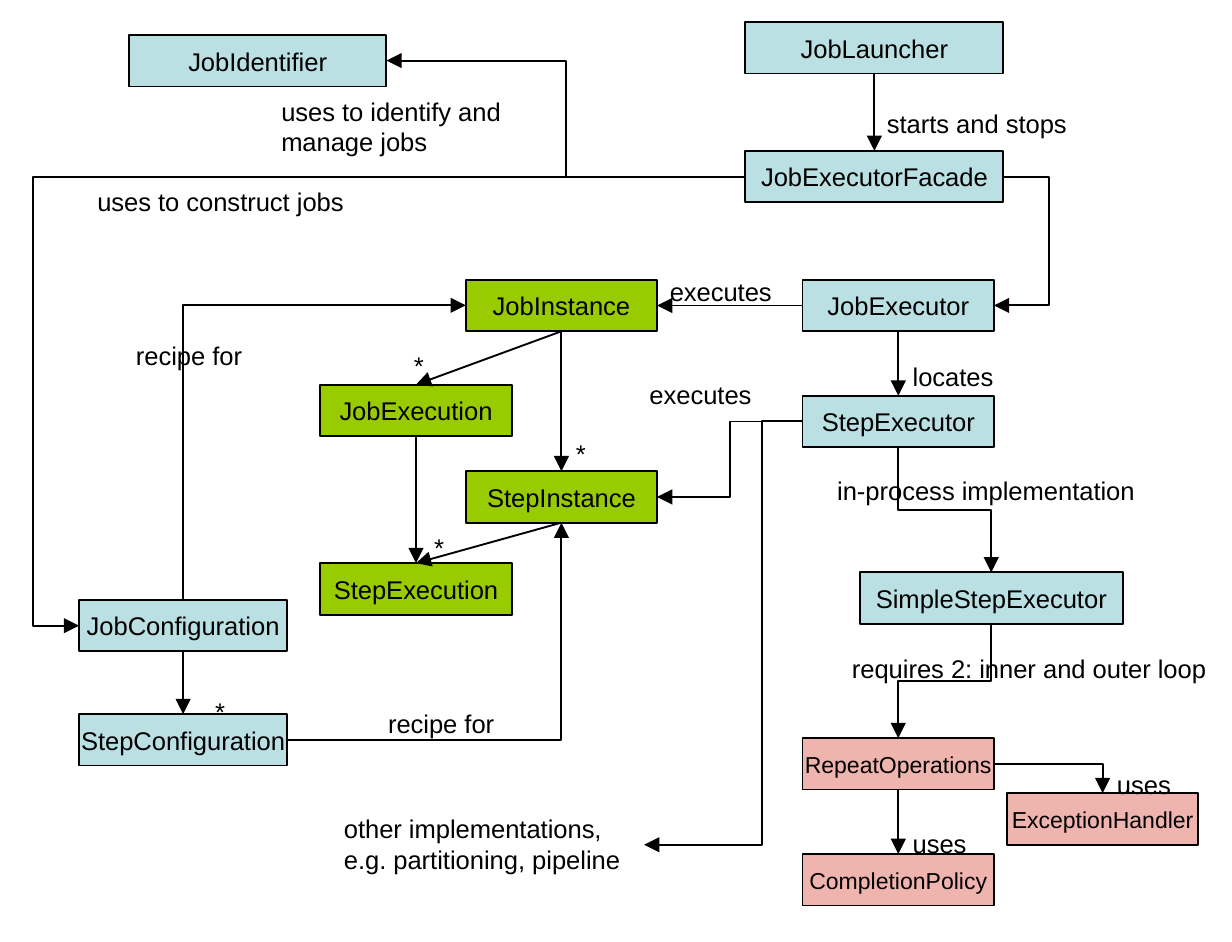
from lxml import etree
from pptx import Presentation
from pptx.dml.color import RGBColor
from pptx.enum.shapes import MSO_CONNECTOR, MSO_SHAPE
from pptx.enum.text import MSO_ANCHOR, MSO_AUTO_SIZE, PP_ALIGN
from pptx.oxml.ns import qn
from pptx.util import Cm, Inches, Pt

RECTANGLE = MSO_SHAPE.RECTANGLE
STRAIGHT, ELBOW = MSO_CONNECTOR.STRAIGHT, MSO_CONNECTOR.ELBOW
MIDDLE, ANCHOR_TOP = MSO_ANCHOR.MIDDLE, MSO_ANCHOR.TOP
CENTER, ALIGN_LEFT = PP_ALIGN.CENTER, PP_ALIGN.LEFT
FIT_TEXT = MSO_AUTO_SIZE.SHAPE_TO_FIT_TEXT
TOP, LEFT, BOTTOM, RIGHT = range(4)

BLACK = RGBColor(0x00, 0x00, 0x00)
BLUE = RGBColor(0xBB, 0xE0, 0xE3)
GREEN = RGBColor(0x99, 0xCC, 0x00)
PINK = RGBColor(0xF0, 0xB4, 0xAE)
LINE_WIDTH = Pt(0.75)
NODE_HEIGHT = 0.28
NODE_WIDTH = 1.04


def write_text(box, text, size=10, align=ALIGN_LEFT, anchor=ANCHOR_TOP, insets=(0.1, 0.05), wrap=False):
    """Fill a box with text, one paragraph for each line."""
    frame = box.text_frame
    frame.word_wrap = wrap
    frame.vertical_anchor = anchor
    frame.margin_left = frame.margin_right = Inches(insets[0])
    frame.margin_top = frame.margin_bottom = Inches(insets[1])
    frame.text = text
    for para in frame.paragraphs:
        para.alignment = align
        for span in para.runs:
            span.font.name = "Arial"
            span.font.size = Pt(size)
            span.font.color.rgb = BLACK


def add_node(page, name, left, top, width=NODE_WIDTH, fill=BLUE, size=10):
    """Add a class rectangle with its name."""
    node = page.shapes.add_shape(RECTANGLE, Inches(left), Inches(top), Inches(width), Inches(NODE_HEIGHT))
    node.shadow.inherit = False
    node.fill.solid()
    node.fill.fore_color.rgb = fill
    node.line.color.rgb = BLACK
    node.line.width = LINE_WIDTH
    write_text(node, name, size=size, align=CENTER, anchor=MIDDLE, insets=(0.07, 0.03))
    return node


def add_label(page, text, left, top, width=0.25, height=0.27, wrap=False):
    """Add a relation label."""
    label = page.shapes.add_textbox(Inches(left), Inches(top), Inches(width), Inches(height))
    write_text(label, text, wrap=wrap)
    label.text_frame.auto_size = FIT_TEXT
    return label


def add_arrow(page, source, source_side, target, target_side, kind=STRAIGHT):
    """Join the middles of two sides with an arrow."""
    arrow = page.shapes.add_connector(kind, 0, 0, 0, 0)
    arrow.begin_connect(source, source_side)
    arrow.end_connect(target, target_side)
    arrow.line.color.rgb = BLACK
    arrow.line.width = LINE_WIDTH
    properties = arrow._element.spPr
    etree.SubElement(properties.find(qn("a:ln")), qn("a:tailEnd"), type="triangle")
    etree.SubElement(properties, qn("a:effectLst"))
    return arrow


def add_elbow(page, source, source_side, target, target_side, bend=None):
    """Join two sides with a bent arrow, turning at the given coordinate."""
    arrow = add_arrow(page, source, source_side, target, target_side, kind=ELBOW)
    properties = arrow._element.spPr
    geometry = properties.find(qn("a:prstGeom"))
    if source_side % 2 != target_side % 2:
        geometry.set("prst", "bentConnector2")
    elif bend is not None:
        share = (Inches(bend) - arrow.begin_x) / (arrow.end_x - arrow.begin_x)
        values = geometry.find(qn("a:avLst"))
        etree.SubElement(values, qn("a:gd"), name="adj1", fmla=f"val {round(share * 100000)}")
    if source_side in (TOP, BOTTOM):
        middle_x = (arrow.begin_x + arrow.end_x) // 2
        middle_y = (arrow.begin_y + arrow.end_y) // 2
        half_x = (arrow.end_x - arrow.begin_x) // 2
        half_y = (arrow.end_y - arrow.begin_y) // 2
        arrow.begin_x, arrow.begin_y = middle_x - half_y, middle_y + half_x
        arrow.end_x, arrow.end_y = middle_x + half_y, middle_y - half_x
        properties.find(qn("a:xfrm")).set("rot", "5400000")


def draw_launch(page, left, top):
    """Draw the launcher and its facade."""
    launcher = add_node(page, "JobLauncher", left, top, width=1.4)
    facade = add_node(page, "JobExecutorFacade", left, top + 0.7, width=1.4)
    add_arrow(page, launcher, BOTTOM, facade, TOP)
    add_label(page, "starts and stops", left + 0.67, top + 0.42, width=1.2)
    return facade


def draw_identifier(page, left, top):
    """Draw the job identifier."""
    identifier = add_node(page, "JobIdentifier", left, top, width=1.4)
    add_label(page, "uses to identify and\nmanage jobs", left + 0.73, top + 0.28, width=1.43, height=0.44)
    return identifier


def draw_configuration(page, left, top):
    """Draw the job and step configuration."""
    job = add_node(page, "JobConfiguration", left, top, width=1.13)
    step = add_node(page, "StepConfiguration", left, top + 0.62, width=1.13)
    add_arrow(page, job, BOTTOM, step, TOP)
    add_label(page, "*", left + 0.64, top + 0.47)
    return job, step


def draw_instances(page, left, top):
    """Draw the instances and their executions."""
    job = add_node(page, "JobInstance", left + 0.79, top, fill=GREEN)
    step = add_node(page, "StepInstance", left + 0.79, top + 1.04, fill=GREEN)
    job_run = add_node(page, "JobExecution", left, top + 0.57, fill=GREEN)
    step_run = add_node(page, "StepExecution", left, top + 1.54, fill=GREEN)
    for source, target in ((job, step), (job, job_run), (step, step_run), (job_run, step_run)):
        add_arrow(page, source, BOTTOM, target, TOP)
    for across, down in ((1.29, 0.81), (0.41, 0.33), (0.52, 1.32)):
        add_label(page, "*", left + across, top + down)
    return job, step


def draw_executors(page, left, top):
    """Draw the executors of jobs and steps."""
    job = add_node(page, "JobExecutor", left, top)
    step = add_node(page, "StepExecutor", left, top + 0.63)
    simple = add_node(page, "SimpleStepExecutor", left + 0.31, top + 1.59, width=1.43)
    add_arrow(page, job, BOTTOM, step, TOP)
    add_elbow(page, step, BOTTOM, simple, TOP)
    add_label(page, "locates", left + 0.5, top + 0.39, width=0.66)
    add_label(page, "in-process implementation", left + 0.09, top + 1.01, width=1.84)
    return job, step, simple


def draw_repeat(page, left, top):
    """Draw the repeat operations and what they use."""
    repeat = add_node(page, "RepeatOperations", left, top, fill=PINK, size=9)
    policy = add_node(page, "CompletionPolicy", left, top + 0.63, fill=PINK, size=9)
    handler = add_node(page, "ExceptionHandler", left + 1.11, top + 0.3, fill=PINK, size=9)
    add_arrow(page, repeat, BOTTOM, policy, TOP)
    add_elbow(page, repeat, RIGHT, handler, TOP)
    for across, down in ((0.5, 0.44), (1.61, 0.12)):
        add_label(page, "uses", left + across, top + down, width=0.5)
    return repeat


def draw_diagram(page):
    """Place the regions and the relations between them."""
    facade = draw_launch(page, 4.05, 0.12)
    identifier = draw_identifier(page, 0.7, 0.19)
    job_config, step_config = draw_configuration(page, 0.43, 3.26)
    job_instance, step_instance = draw_instances(page, 1.74, 1.52)
    job_executor, step_executor, simple_executor = draw_executors(page, 4.36, 1.52)
    repeat = draw_repeat(page, 4.36, 4.01)
    others = add_label(page, "other implementations, e.g. partitioning, pipeline",
                       1.77, 4.37, width=1.73, height=0.44, wrap=True)

    add_arrow(page, job_executor, LEFT, job_instance, RIGHT)
    add_elbow(page, facade, LEFT, identifier, RIGHT)
    add_elbow(page, facade, LEFT, job_config, LEFT, bend=0.18)
    add_elbow(page, facade, RIGHT, job_executor, RIGHT, bend=5.7)
    add_elbow(page, step_executor, LEFT, step_instance, RIGHT)
    add_elbow(page, step_executor, LEFT, others, RIGHT, bend=4.14)
    add_elbow(page, simple_executor, BOTTOM, repeat, TOP)
    add_elbow(page, job_config, TOP, job_instance, LEFT)
    add_elbow(page, step_config, RIGHT, step_instance, BOTTOM)

    for text, left, top, width in (
        ("uses to construct jobs", 0.43, 0.96, 1.55),
        ("executes", 3.54, 1.45, 0.78),
        ("executes", 3.43, 2.01, 0.78),
        ("recipe for", 0.64, 1.8, 0.8),
        ("recipe for", 2.01, 3.8, 0.8),
        ("requires 2: inner and outer loop", 4.53, 3.5, 2.13),
    ):
        add_label(page, text, left, top, width=width)


def main():
    """Build the deck and save it."""
    deck = Presentation()
    deck.slide_width = Cm(17)
    deck.slide_height = Cm(13)
    draw_diagram(deck.slides.add_slide(deck.slide_layouts[6]))
    deck.save("out.pptx")


if __name__ == "__main__":
    main()
